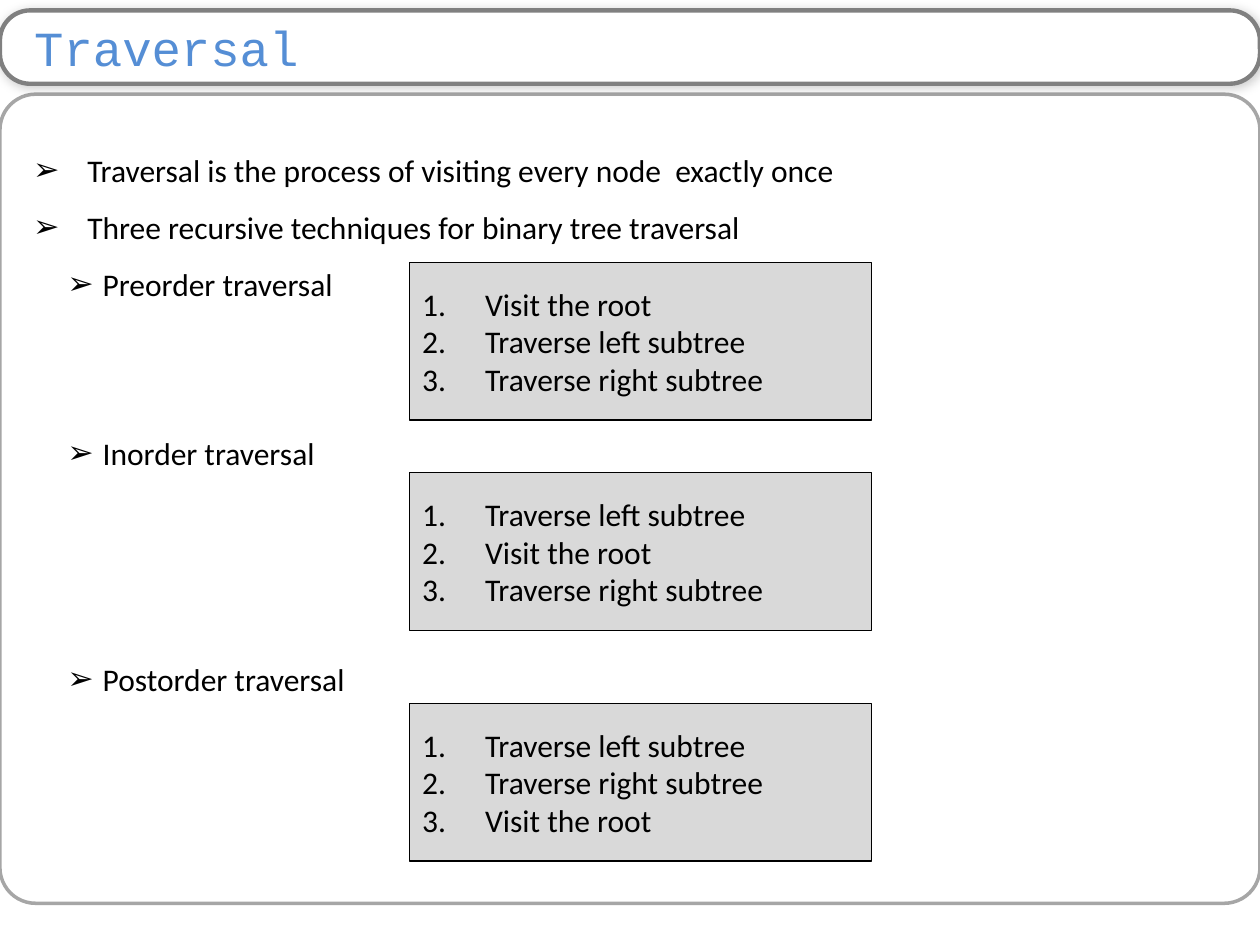
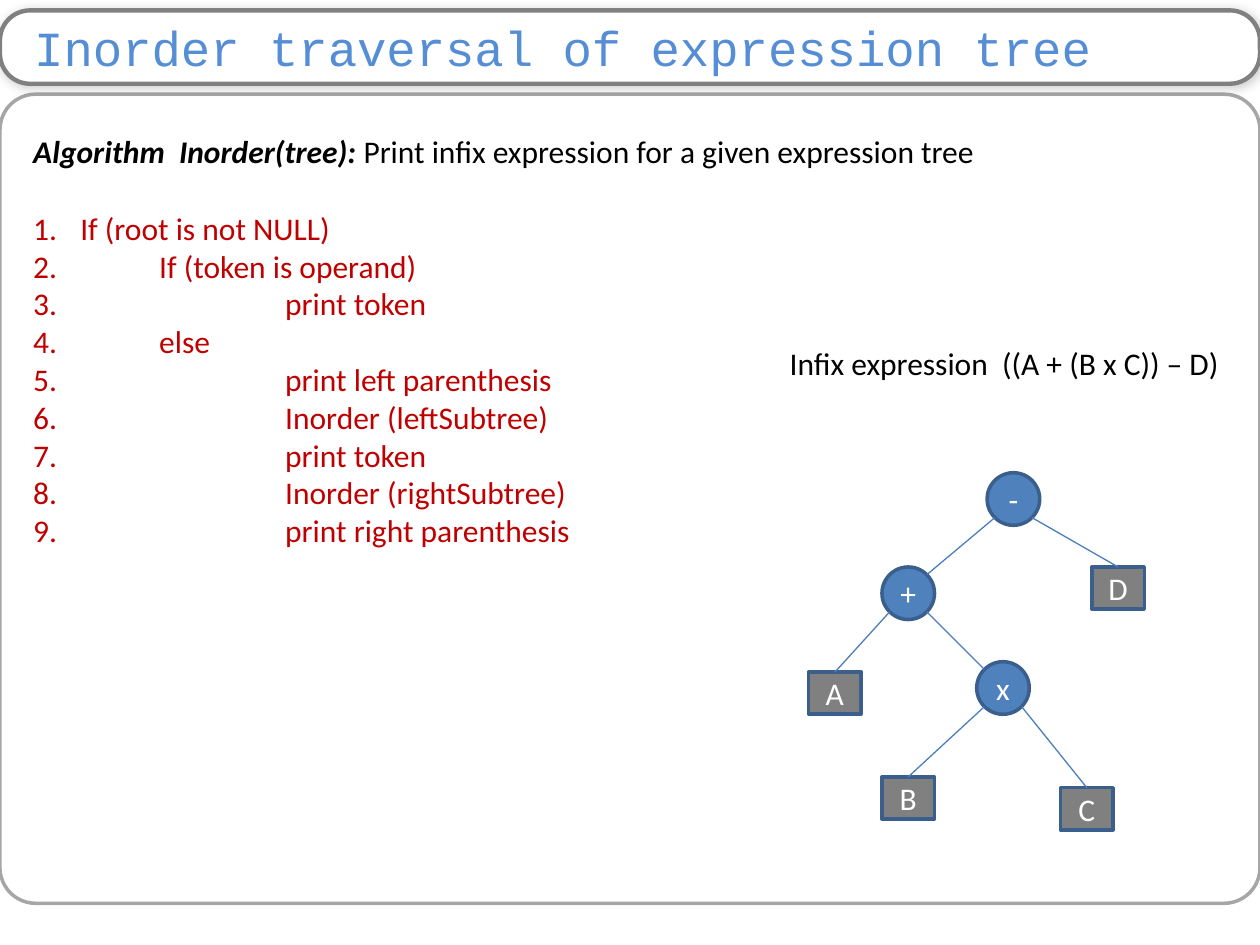
from lxml.etree import SubElement
from pptx import Presentation
from pptx.dml.color import RGBColor
from pptx.enum.shapes import MSO_CONNECTOR as Line, MSO_SHAPE as Form
from pptx.enum.text import MSO_ANCHOR as Anchor, MSO_AUTO_SIZE as Fit, PP_ALIGN as Align
from pptx.oxml.ns import qn
from pptx.util import Cm, Pt

# Colours
WHITE = RGBColor(0xFF, 0xFF, 0xFF)
BLACK = RGBColor(0x00, 0x00, 0x00)
TITLE_BLUE = RGBColor(0x55, 0x8E, 0xD5)
FRAME_GREY = RGBColor(0xA6, 0xA6, 0xA6)
MID_GREY = RGBColor(0x80, 0x80, 0x80)
BOX_GREY = RGBColor(0xD9, 0xD9, 0xD9)
NODE_BLUE = RGBColor(0x4F, 0x81, 0xBD)
NODE_EDGE = RGBColor(0x3A, 0x5F, 0x8C)
BRANCH_BLUE = RGBColor(0x4B, 0x7E, 0xBC)
CODE_RED = RGBColor(0xC0, 0x00, 0x00)

# Tree measures in cm
NODE_SIZE = 1.06
LEAF_HEIGHT = 0.85


class Sheet:
    """Shared style and the slide being drawn."""

    title_font = "Courier New"
    text_font = "Calibri"

    def __init__(self):
        self.deck = Presentation()
        self.deck.slide_width, self.deck.slide_height = Cm(25.4), Cm(19.05)
        self.page = None

    def start(self, title):
        """Add a page with its frame, title band and title."""
        self.page = self.deck.slides.add_slide(self.deck.slide_layouts[1])
        self.shape(Form.ROUNDED_RECTANGLE, 0, 1.9, 25.4, 16.31,
                   None, FRAME_GREY, 2, corner=0.044)
        band = self.shape(Form.ROUNDED_RECTANGLE, 0, 0.21, 25.4, 1.48,
                          WHITE, MID_GREY, 2.5, corner=0.409)
        self.cast_shadow(band)

        box = self.page.shapes.title
        self.page.shapes._spTree.append(box._element)
        self.place(box, 0, 0.21, 25.4, 1.48)
        frame = self.frame(box, Anchor.MIDDLE, (0.69, 0, 0.25, 0))
        para = frame.paragraphs[0]
        para.alignment = Align.LEFT
        self.span(para, title, TITLE_BLUE, 28, self.title_font)

    def place(self, box, left, top, width, height):
        box.left, box.top = Cm(left), Cm(top)
        box.width, box.height = Cm(width), Cm(height)

    def frame(self, box, anchor, margins=(0.25, 0.13, 0.25, 0.13), wrap=True):
        frame = box.text_frame
        frame.word_wrap = wrap
        frame.auto_size = Fit.NONE
        frame.vertical_anchor = anchor
        (frame.margin_left, frame.margin_top,
         frame.margin_right, frame.margin_bottom) = map(Cm, margins)
        return frame

    def shape(self, form, left, top, width, height, fill, line, weight, corner=None):
        box = self.page.shapes.add_shape(form, Cm(left), Cm(top), Cm(width), Cm(height))
        box.shadow.inherit = False
        if fill is None:
            box.fill.background()
        else:
            box.fill.solid()
            box.fill.fore_color.rgb = fill
        box.line.color.rgb = line
        box.line.width = Pt(weight)
        if corner is not None:
            box.adjustments[0] = corner
        return box

    def cast_shadow(self, box):
        effects = box._element.spPr.find(qn("a:effectLst"))
        shadow = SubElement(effects, qn("a:outerShdw"), blurRad=str(Pt(6)),
                            dist=str(Pt(1)), dir="2700000", rotWithShape="0")
        colour = SubElement(shadow, qn("a:srgbClr"), val=str(BLACK))
        SubElement(colour, qn("a:alpha"), val="20000")

    def body(self, height):
        box = self.page.placeholders[1]
        self.place(box, 0.42, 2.54, 24.55, height)
        return self.frame(box, Anchor.TOP)

    def para(self, frame, margin=0, hang=0, bullet=None, spacing=1, before=0):
        """Add a paragraph; bullet is a sign, "1." for numbers, or None."""
        first = frame.paragraphs[0]
        para = first if not first.runs else frame.add_paragraph()
        para.alignment = Align.LEFT
        para.line_spacing = spacing
        para.space_before = Pt(before)
        props = para._p.get_or_add_pPr()
        props.set("marL", str(Cm(margin)))
        props.set("indent", str(-Cm(hang)))
        if bullet is None:
            SubElement(props, qn("a:buNone"))
        else:
            SubElement(props, qn("a:buFont"), typeface=self.text_font)
            if bullet == "1.":
                SubElement(props, qn("a:buAutoNum"), type="arabicPeriod")
            else:
                SubElement(props, qn("a:buChar"), char=bullet)
        return para

    def span(self, para, text, colour=BLACK, size=18, font=None, strong=False):
        span = para.add_run()
        span.text = text
        span.font.name = font or self.text_font
        span.font.size = Pt(size)
        span.font.color.rgb = colour
        span.font.bold = span.font.italic = strong

    def steps(self, top, lines):
        """Grey box with numbered steps."""
        box = self.shape(Form.RECTANGLE, 8.26, top, 9.31, 3.18, BOX_GREY, BLACK, 0.75)
        frame = self.frame(box, Anchor.MIDDLE)
        for line in lines:
            self.span(self.para(frame, 1.27, 1.27, "1."), line)

    def note(self, left, top, width, height, text):
        box = self.page.shapes.add_textbox(Cm(left), Cm(top), Cm(width), Cm(height))
        frame = self.frame(box, Anchor.TOP, wrap=False)
        self.span(self.para(frame), text)

    def node(self, label, left, top, leaf):
        form, height, fill = ((Form.RECTANGLE, LEAF_HEIGHT, MID_GREY) if leaf
                              else (Form.OVAL, NODE_SIZE, NODE_BLUE))
        box = self.shape(form, left, top, NODE_SIZE, height, fill, NODE_EDGE, 2)
        frame = self.frame(box, Anchor.MIDDLE, (0, 0, 0, 0), wrap=False)
        para = self.para(frame)
        para.alignment = Align.CENTER
        self.span(para, label, WHITE)

    def branch(self, start, end):
        line = self.page.shapes.add_connector(Line.STRAIGHT, *map(Cm, start + end))
        line.line.color.rgb = BRANCH_BLUE
        line.line.width = Pt(0.75)
        SubElement(line._element.spPr, qn("a:effectLst"))


def rim(corner, side, upper=False):
    """Diagonal point on a round node; side is -1 for left, 1 for right."""
    radius = NODE_SIZE / 2
    reach = radius * 0.71
    left, top = corner
    return (left + radius + side * reach,
            top + radius + (-reach if upper else reach))


def traversal(sheet):
    sheet.start("Traversal")

    # Outline
    frame = sheet.body(15.27)
    for text in ("Traversal is the process of visiting every node  exactly once",
                 "Three recursive techniques for binary tree traversal"):
        sheet.span(sheet.para(frame, 1.09, 1.09, "➢", 1.5), text)

    # Orders and their steps
    root, left, right = "Visit the root", "Traverse left subtree", "Traverse right subtree"
    orders = [
        ("Preorder traversal", 0, 5.29, (root, left, right)),
        ("Inorder traversal", 64.5, 9.53, (left, root, right)),
        ("Postorder traversal", 96.5, 14.18, (left, right, root)),
    ]
    for name, before, top, lines in orders:
        para = sheet.para(frame, 1.4, 0.71, "➢", 1.5, before)
        para.level = 1
        sheet.span(para, name)
        sheet.steps(top, lines)


def expression_tree(sheet):
    sheet.start("Inorder traversal of expression tree")

    # Algorithm
    frame = sheet.body(11.02)
    para = sheet.para(frame)
    sheet.span(para, "Algorithm  Inorder(tree): ", strong=True)
    sheet.span(para, "Print infix expression for a given expression tree")
    margins = (0.95, 2.54, 5.08)
    code = [
        (0, "If (root is not NULL)"),
        (1, "If (token is operand)"),
        (2, "print token"),
        (1, "else"),
        (2, "print left parenthesis"),
        (2, "Inorder (leftSubtree)"),
        (2, "print token"),
        (2, "Inorder (rightSubtree)"),
        (2, "print right parenthesis"),
    ]
    for index, (depth, text) in enumerate(code):
        margin = margins[depth]
        para = sheet.para(frame, margin, margin, "1.", before=0 if index else 22)
        sheet.span(para, text, CODE_RED)

    # Tree: corner of each node, then the children of each operator
    corners = {
        "-": (19.9, 9.53), "+": (17.78, 11.43), "x": (19.69, 13.34),
        "A": (16.3, 13.55), "B": (17.78, 15.66),
        "C": (21.38, 15.88), "D": (22.01, 11.43),
    }
    children = {"-": "+D", "+": "Ax", "x": "BC"}
    for label, (left, top) in corners.items():
        sheet.node(label, left, top, leaf=label not in children)
    for parent, pair in children.items():
        for side, child in zip((-1, 1), pair):
            left, top = corners[child]
            end = (rim((left, top), -side, upper=True) if child in children
                   else (left + NODE_SIZE / 2, top))
            sheet.branch(rim(corners[parent], side), end)

    sheet.note(15.67, 6.81, 9.27, 1.02, "Infix expression  ((A + (B x C)) – D)")


def main():
    sheet = Sheet()
    traversal(sheet)
    expression_tree(sheet)
    sheet.deck.save("out.pptx")


if __name__ == "__main__":
    main()
